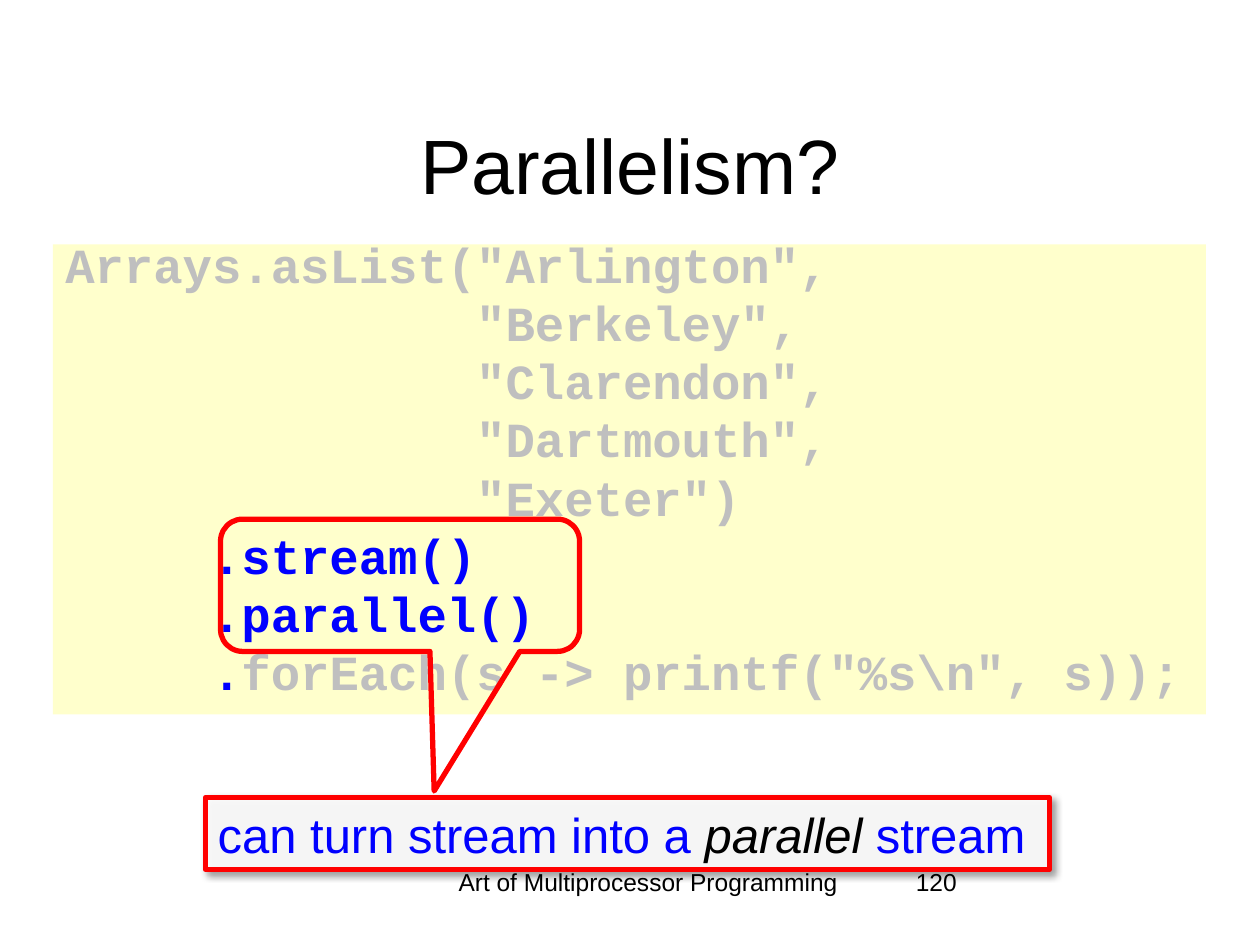
"""Build the slide on parallel streams."""
from lxml.etree import SubElement
from pptx import Presentation
from pptx.dml.color import RGBColor
from pptx.enum.shapes import MSO_SHAPE as Shape
from pptx.enum.text import MSO_ANCHOR as Anchor, PP_ALIGN as Align
from pptx.oxml.ns import qn
from pptx.util import Inches, Pt

BLACK = RGBColor(0x00, 0x00, 0x00)
WHITE = RGBColor(0xFF, 0xFF, 0xFF)
BLUE = RGBColor(0x00, 0x00, 0xFF)
RED = RGBColor(0xFF, 0x00, 0x00)
GRAY = RGBColor(0xBF, 0xBF, 0xBF)
CREAM = RGBColor(0xFF, 0xFF, 0xCC)

TITLE = "Parallelism?"
FOOTER = "Art of Multiprocessor Programming"
PAGE_NUMBER = "120"
CODE = [
    [('Arrays.asList("Arlington",', GRAY)],
    [('              "Berkeley",', GRAY)],
    [('              "Clarendon",', GRAY)],
    [('              "Dartmouth",', GRAY)],
    [('              "Exeter")', GRAY)],
    [("     .stream()", BLUE)],
    [("     .parallel()", BLUE)],
    [("     .", BLUE), ('forEach(s -> printf("%s\\n", s));', GRAY)],
]
REMARK = [("can turn stream into a ", BLUE), ("parallel", BLACK), (" stream", BLUE)]


def add_spans(para, spans, size, font="Arial", bold=False):
    for text, color in spans:
        span = para.add_run()
        span.text = text
        span.font.name = font
        span.font.size = Pt(size)
        span.font.bold = bold
        span.font.color.rgb = color


def add_label(page, place, text, size, align=Align.LEFT, anchor=Anchor.TOP):
    box = page.shapes.add_textbox(*map(Inches, place))
    frame = box.text_frame
    frame.word_wrap = True
    frame.vertical_anchor = anchor
    frame.paragraphs[0].alignment = align
    add_spans(frame.paragraphs[0], [(text, BLACK)], size)


def add_panel(page, kind, place, fill=None, line=None):
    panel = page.shapes.add_shape(kind, *map(Inches, place))
    panel.shadow.inherit = False
    if fill is None:
        panel.fill.background()
    else:
        panel.fill.solid()
        panel.fill.fore_color.rgb = fill
    if line is None:
        panel.line.fill.background()
    else:
        panel.line.color.rgb = line
        panel.line.width = Pt(3)
    return panel


def add_code(page):
    frame = add_panel(page, Shape.RECTANGLE, (0.42, 1.94, 9.15, 3.73), CREAM).text_frame
    frame.word_wrap = True
    frame.vertical_anchor = Anchor.TOP
    for index, spans in enumerate(CODE):
        para = frame.add_paragraph() if index else frame.paragraphs[0]
        para.alignment = Align.LEFT
        para.line_spacing = 0.7
        if index:
            para.space_before = Pt(9.7)
        add_spans(para, spans, 28, "Courier New", True)


def add_remark(page):
    panel = add_panel(page, Shape.RECTANGLE, (1.63, 6.33, 6.7, 0.57), WHITE, RED)
    properties = panel._element.spPr
    fill_color = properties.find(qn("a:solidFill"))[0]
    SubElement(fill_color, qn("a:alpha"), val="90000")
    shadow = SubElement(
        properties.find(qn("a:effectLst")), qn("a:outerShdw"),
        blurRad=str(Pt(4)), dist=str(Pt(3)), dir="2700000", algn="tl", rotWithShape="0",
    )
    shadow_color = SubElement(shadow, qn("a:srgbClr"), val=str(BLACK))
    SubElement(shadow_color, qn("a:alpha"), val="40000")
    frame = panel.text_frame
    frame.word_wrap = False
    para = frame.paragraphs[0]
    para.alignment = Align.LEFT
    add_spans(para, REMARK, 28)
    para.runs[1].font.italic = True


def add_callout(page):
    callout = add_panel(page, Shape.ROUNDED_RECTANGULAR_CALLOUT, (1.75, 4.12, 2.85, 1.05), line=RED)
    for index, value in enumerate((0.095, 1.555, 0.167)):
        callout.adjustments[index] = value


def main():
    deck = Presentation()
    deck.slide_width, deck.slide_height = Inches(10), Inches(7.5)
    page = deck.slides.add_slide(deck.slide_layouts[6])
    add_label(page, (3.42, 6.83, 3.45, 0.5), FOOTER, 14, Align.CENTER)
    add_label(page, (7.17, 6.83, 2.08, 0.5), PAGE_NUMBER, 14)
    add_label(page, (0.75, 0.67, 8.5, 1.25), TITLE, 44, Align.CENTER, Anchor.MIDDLE)
    add_code(page)
    add_remark(page)
    add_callout(page)
    deck.save("out.pptx")


if __name__ == "__main__":
    main()
